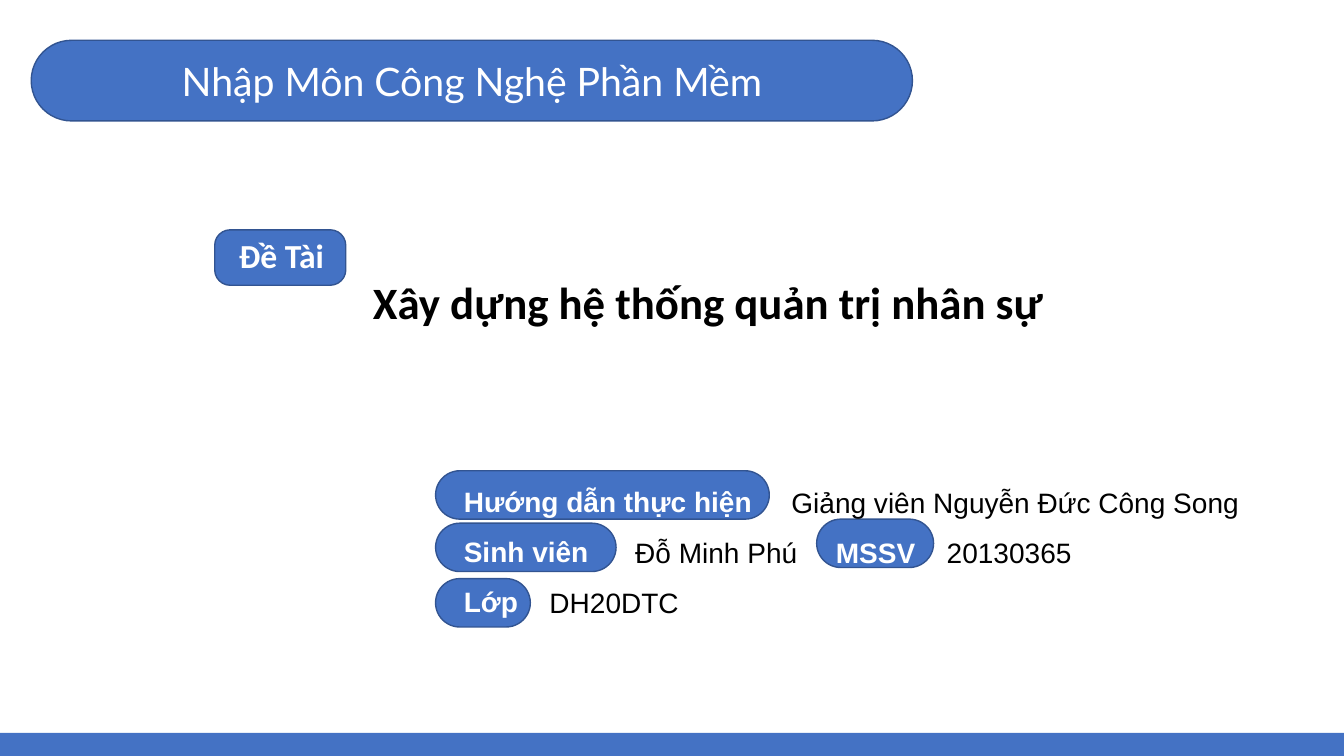
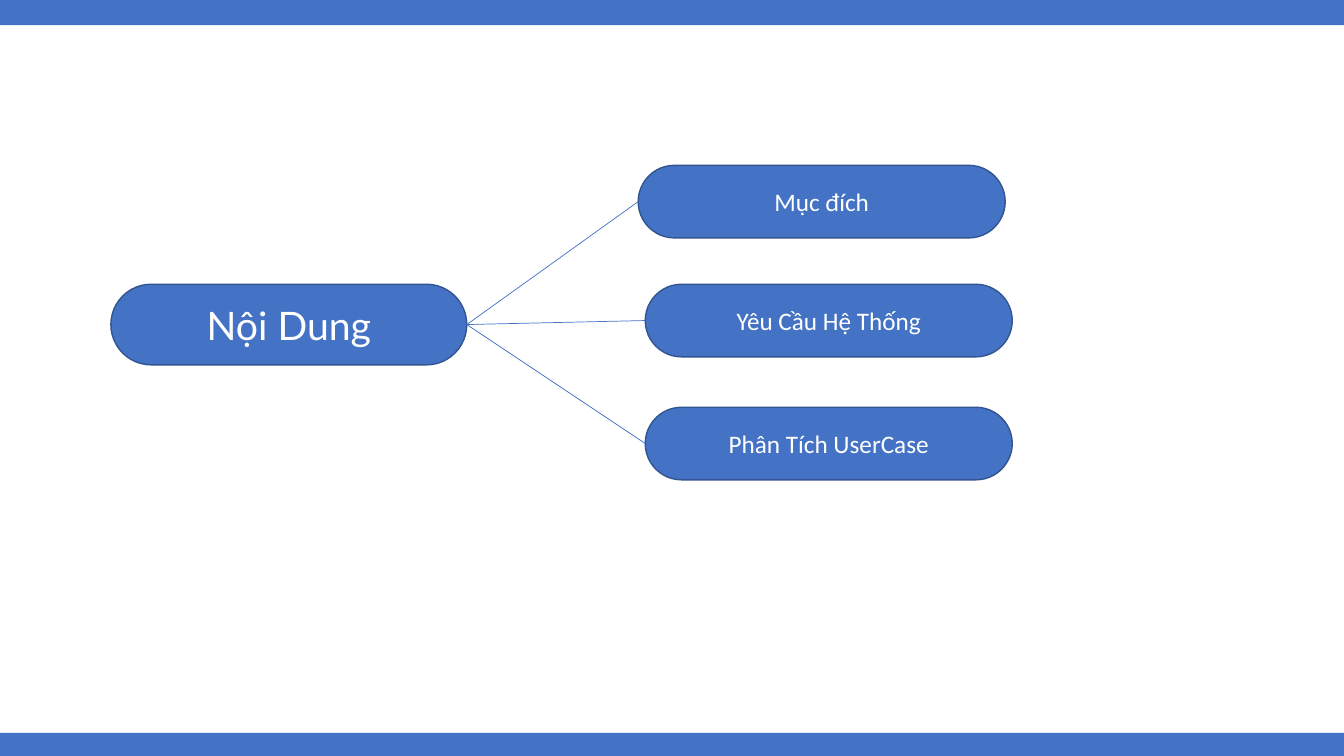
from lxml import etree
from pptx import Presentation
from pptx.dml.color import RGBColor
from pptx.enum.shapes import MSO_CONNECTOR, MSO_SHAPE
from pptx.enum.text import MSO_ANCHOR, MSO_AUTO_SIZE, PP_ALIGN
from pptx.oxml.ns import qn
from pptx.util import Inches, Pt

ROUNDED, RECTANGLE = MSO_SHAPE.ROUNDED_RECTANGLE, MSO_SHAPE.RECTANGLE
STRAIGHT = MSO_CONNECTOR.STRAIGHT
LEFT, CENTER = PP_ALIGN.LEFT, PP_ALIGN.CENTER
TOP, MIDDLE = MSO_ANCHOR.TOP, MSO_ANCHOR.MIDDLE
NO_AUTOFIT = MSO_AUTO_SIZE.NONE

BLUE = RGBColor(0x44, 0x72, 0xC4)
DARK_BLUE = RGBColor(0x32, 0x54, 0x91)
WHITE = RGBColor(0xFF, 0xFF, 0xFF)
BLACK = RGBColor(0, 0, 0)
SLIDE_W, SLIDE_H = 13.33, 7.5
SIDE_LEFT, SIDE_RIGHT = 1, 3


def add_text(paragraph, text, font="Calibri", size=18, color=WHITE, bold=False, align=CENTER):
    paragraph.alignment = align
    run = paragraph.add_run()
    run.text = text
    run.font.name = font
    run.font.size = Pt(size)
    run.font.color.rgb = color
    run.font.bold = bold


def add_block(slide, kind, left, top, width, height, outline=None, rounding=0.5):
    block = slide.shapes.add_shape(kind, Inches(left), Inches(top), Inches(width), Inches(height))
    block.shadow.inherit = False
    block.fill.solid()
    block.fill.fore_color.rgb = BLUE
    if kind == ROUNDED:
        block.adjustments[0] = rounding
    if outline is None:
        block.line.fill.background()
    else:
        block.line.color.rgb = outline
        block.line.width = Pt(1)
    block.text_frame.vertical_anchor = MIDDLE
    return block


prs = Presentation()
prs.slide_width, prs.slide_height = Inches(SLIDE_W), Inches(SLIDE_H)
cover = prs.slides.add_slide(prs.slide_layouts[0])
contents = prs.slides.add_slide(prs.slide_layouts[5])

# Cover
for left, top, width in [(4.32, 4.67, 3.31), (4.32, 5.19, 1.79), (8.1, 5.15, 1.16), (4.32, 5.74, 0.94)]:
    add_block(cover, ROUNDED, left, top, width, 0.48, DARK_BLUE)
add_block(cover, ROUNDED, 2.13, 2.28, 1.3, 0.55, DARK_BLUE, rounding=0.28)
course = add_block(cover, ROUNDED, 0.31, 0.4, 8.74, 0.8, DARK_BLUE)
add_text(course.text_frame.paragraphs[0], "Nhập Môn Công Nghệ Phần Mềm", font="Lato", size=28)

topic, labels = cover.shapes.title, cover.placeholders[1]
add_text(topic.text_frame.paragraphs[0], "Đề Tài", size=24, bold=True, align=LEFT)
add_text(topic.text_frame.add_paragraph(), "Xây dựng hệ thống quản trị nhân sự",
         size=32, color=BLACK, bold=True)

for row, label in enumerate(["Hướng dẫn thực hiện", "Sinh viên", "Lớp"]):
    frame = labels.text_frame
    line = frame.add_paragraph() if row else frame.paragraphs[0]
    line.line_spacing = 1.5
    line.space_before = Pt(0)
    add_text(line, label, font="Arial", size=20, bold=True, align=LEFT)

DETAIL_CENTER, DETAIL_PITCH, DETAIL_H = 4.98, 0.5, 0.4
for row, left, width, detail, color in [
    (0, 7.85, 4.8, "Giảng viên Nguyễn Đức Công Song", BLACK),
    (1, 6.3, 1.75, "Đỗ Minh Phú", BLACK),
    (1, 8.29, 0.9, "MSSV", WHITE),
    (1, 9.39, 1.6, "20130365", BLACK),
    (2, 5.45, 1.6, "DH20DTC", BLACK),
]:
    top = DETAIL_CENTER + row * DETAIL_PITCH - DETAIL_H / 2
    detail_box = cover.shapes.add_textbox(Inches(left), Inches(top), Inches(width), Inches(DETAIL_H))
    frame = detail_box.text_frame
    frame.word_wrap = True
    frame.vertical_anchor = MIDDLE
    frame.margin_left = frame.margin_right = 0
    add_text(frame.paragraphs[0], detail, font="Arial", size=20, color=color,
             bold=color == WHITE, align=LEFT)

# Contents
hub_box = (1.1, 2.82, 3.53, 0.8)
hub = add_block(contents, ROUNDED, *hub_box, DARK_BLUE)
heading = contents.shapes.title
add_text(heading.text_frame.paragraphs[0], "Nội Dung", font="Lato", size=28)

for section, left, top in [("Mục đích", 6.33, 1.64), ("Yêu Cầu Hệ Thống", 6.4, 2.82),
                           ("Phân Tích UserCase", 6.4, 4.04)]:
    branch = add_block(contents, ROUNDED, left, top, 3.64, 0.72, DARK_BLUE)
    add_text(branch.text_frame.paragraphs[0], section)
    link = contents.shapes.add_connector(STRAIGHT, 0, 0, 0, 0)
    link.begin_connect(hub, SIDE_RIGHT)
    link.end_connect(branch, SIDE_LEFT)
    link.line.color.rgb = BLUE
    link.line.width = Pt(0.5)
    etree.SubElement(link._element.spPr, qn("a:effectLst"))

# Placeholders are placed and brought in front of the blocks
for slide, holder, box, anchor in [
    (cover, topic, (2.27, 2.28, 9.51, 1.04), TOP),
    (cover, labels, (4.5, 4.14, 3.3, 2.49), MIDDLE),
    (contents, heading, hub_box, MIDDLE),
]:
    holder.left, holder.top, holder.width, holder.height = map(Inches, box)
    holder.text_frame.auto_size = NO_AUTOFIT
    holder.text_frame.word_wrap = True
    holder.text_frame.vertical_anchor = anchor
    slide.shapes.element.append(holder.element)

# Bands
for slide, top, height in [(cover, 7.27, 0.23), (contents, 7.27, 0.23), (contents, 0, 0.25)]:
    add_block(slide, RECTANGLE, 0, top, SLIDE_W, height)

prs.save("out.pptx")
